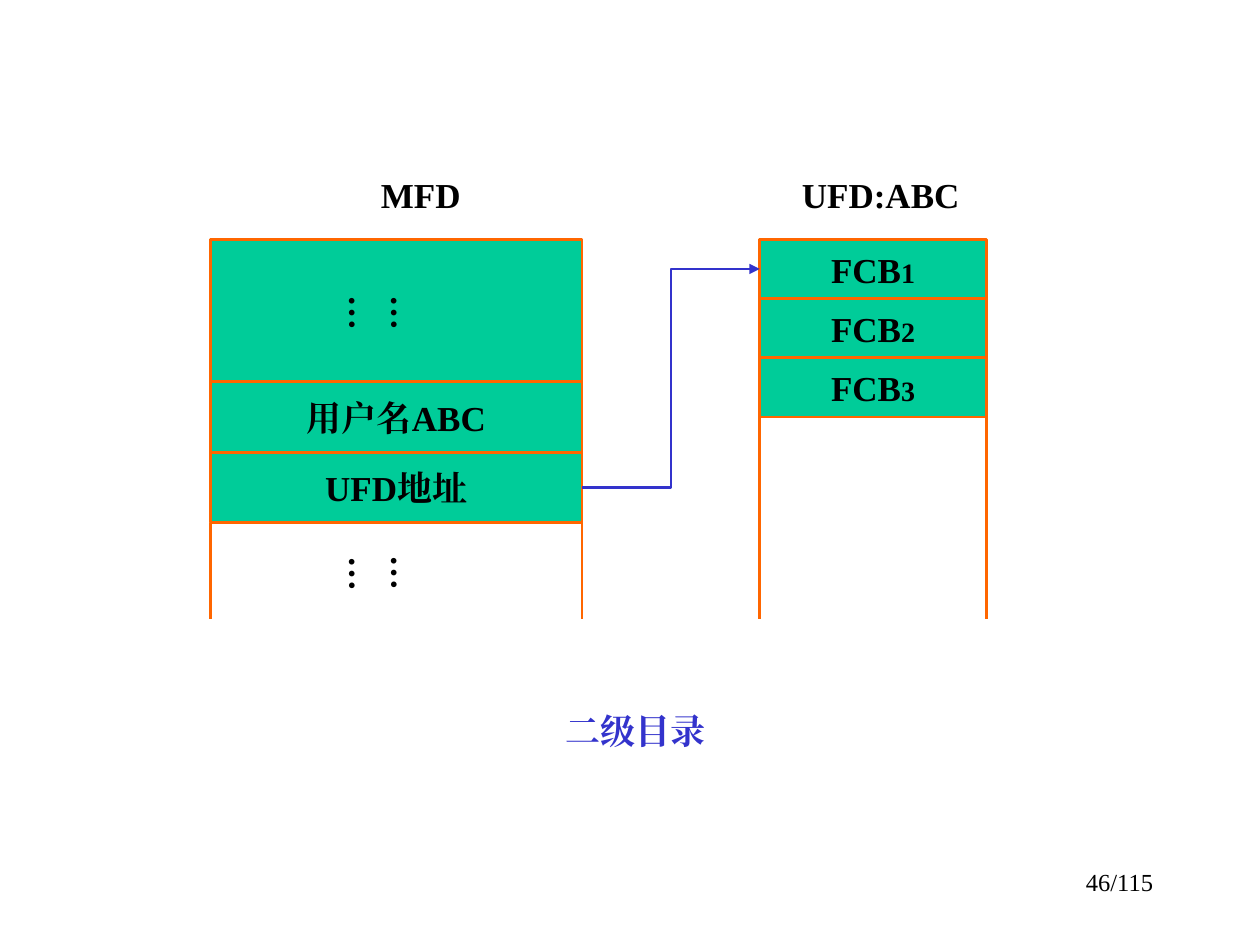
from lxml import etree
from pptx import Presentation
from pptx.dml.color import RGBColor
from pptx.enum.shapes import MSO_CONNECTOR, MSO_SHAPE
from pptx.enum.text import MSO_ANCHOR, PP_ALIGN
from pptx.oxml.ns import qn
from pptx.util import Inches, Pt

RECTANGLE = MSO_SHAPE.RECTANGLE
STRAIGHT, ELBOW = MSO_CONNECTOR.STRAIGHT, MSO_CONNECTOR.ELBOW
CENTER, RIGHT = PP_ALIGN.CENTER, PP_ALIGN.RIGHT
MIDDLE, TOP = MSO_ANCHOR.MIDDLE, MSO_ANCHOR.TOP
LEFT_SITE, RIGHT_SITE = 1, 3

WIDTH, HEIGHT = Inches(10), Inches(7.5)
COLUMNS, ROWS = 100, 75
COLORS = {"cell": "00CC99", "border": "FF6600", "accent": "3333CC", "text": "000000"}
FONT = "Times New Roman"


def write_text(frame, *parts, size=20, bold=True, color="text", align=CENTER,
               anchor=TOP, wrap=True):
    frame.word_wrap = wrap
    frame.vertical_anchor = anchor
    para = frame.paragraphs[0]
    para.alignment = align
    for part in parts:
        words, part_size = part if isinstance(part, tuple) else (part, size)
        span = para.add_run()
        span.text = words
        span.font.name = FONT
        span.font.size = Pt(part_size)
        span.font.bold = bold
        span.font.color.rgb = RGBColor.from_string(COLORS[color])
        east_asian = etree.SubElement(span.font._element, qn("a:ea"))
        east_asian.set("typeface", FONT)


class DirectorySlide:
    def __init__(self, slide, line_width=1.5):
        self.shapes = slide.shapes
        self.line_width = Pt(line_width)

    def place(self, column, row):
        return round(WIDTH * column / COLUMNS), round(HEIGHT * row / ROWS)

    def outline(self, line, color):
        line.color.rgb = RGBColor.from_string(COLORS[color])
        line.width = self.line_width

    def label(self, left, top, width, height, *parts, **style):
        box = self.shapes.add_textbox(*self.place(left, top), *self.place(width, height))
        write_text(box.text_frame, *parts, **style)
        return box

    def cell(self, left, top, width, height, *parts):
        box = self.shapes.add_shape(RECTANGLE, *self.place(left, top),
                                    *self.place(width, height))
        box.shadow.inherit = False
        box.fill.solid()
        box.fill.fore_color.rgb = RGBColor.from_string(COLORS["cell"])
        self.outline(box.line, "border")
        if parts:
            write_text(box.text_frame, *parts, anchor=MIDDLE, wrap=False)
        return box

    def dots(self, center_column, center_row, width=7.5, height=4.4):
        box = self.label(center_column - width / 2, center_row - height / 2,
                         width, height, "……", wrap=False)
        box.rotation = 89.6

    def connector(self, kind, start, end, color):
        line = self.shapes.add_connector(kind, *self.place(*start), *self.place(*end))
        etree.SubElement(line._element.spPr, qn("a:effectLst"))
        self.outline(line.line, color)
        return line

    def column(self, left, top, width, bottom, rows):
        cells = []
        for height, parts in rows:
            cells.append(self.cell(left, top, width, height, *parts))
            top += height
        for side in (left, left + width):
            self.connector(STRAIGHT, (side, top), (side, bottom), "border")
        return cells

    def pointer(self, source, target, start, end):
        line = self.connector(ELBOW, start, end, "accent")
        line.begin_connect(source, RIGHT_SITE)
        line.end_connect(target, LEFT_SITE)
        etree.SubElement(line.line._get_or_add_ln(), qn("a:tailEnd"), type="triangle")


def main():
    deck = Presentation()
    deck.slide_width, deck.slide_height = WIDTH, HEIGHT
    page = DirectorySlide(deck.slides.add_slide(deck.slide_layouts[6]))

    top, bottom = 19, 49.1
    master = page.column(16.7, top, 29.5, bottom, [
        (11.3, ()), (5.6, ("用户名ABC",)), (5.6, ("UFD地址",))])
    user = page.column(60.3, top, 18, bottom, [
        (4.7, ("FCB", (str(number), 16))) for number in range(1, 4)])
    for center_row in (24.8, 45.5):
        page.dots(32.15, center_row)

    page.pointer(master[-1], user[0], (46.2, 38.7), (60.3, 21.35))
    page.label(24.4, 13.3, 18, 4.4, "MFD")
    page.label(59, 13.3, 21.8, 4.4, "UFD:ABC")
    page.label(39.2, 55.8, 22.5, 4.4, "二级目录", color="accent")
    page.label(71.7, 68.3, 20.8, 5, "46/115", size=14, bold=False, align=RIGHT)
    deck.save("out.pptx")


if __name__ == "__main__":
    main()
